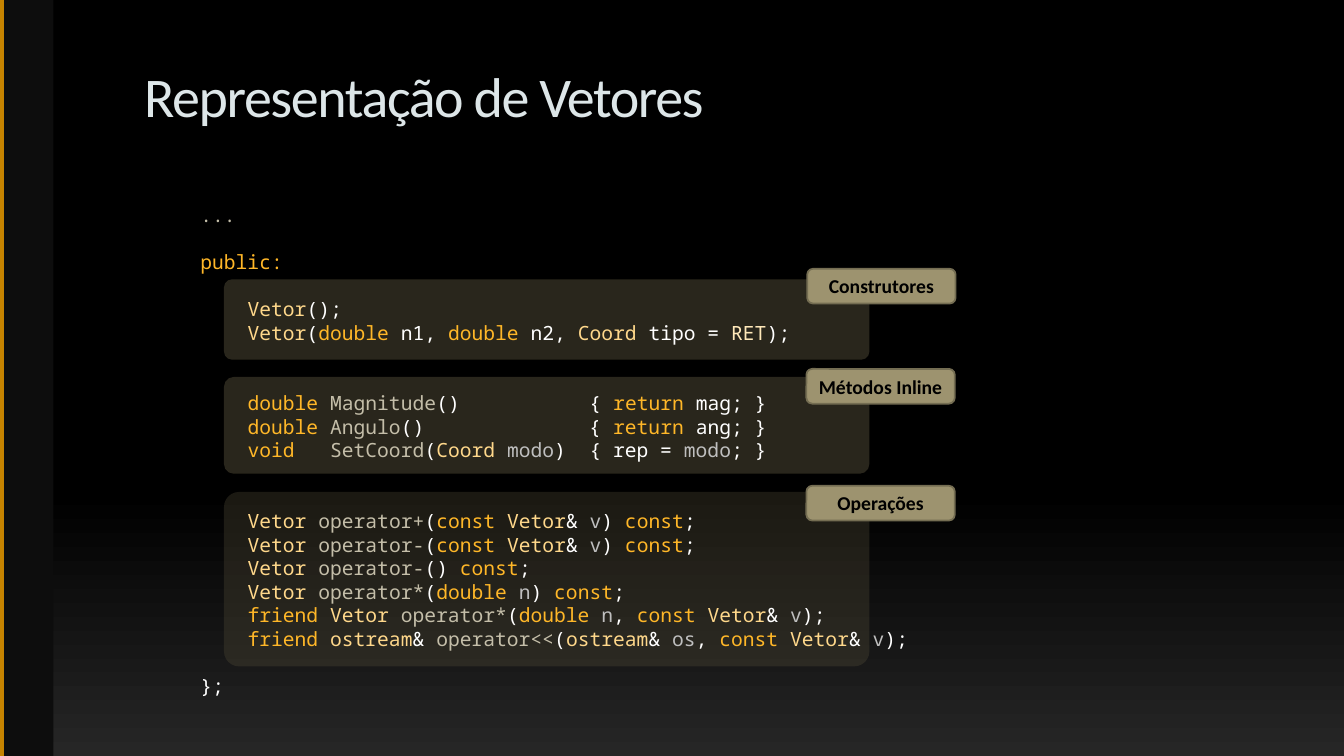
from pptx import Presentation
from pptx.dml.color import RGBColor
from pptx.enum.shapes import MSO_CONNECTOR as Connector, MSO_SHAPE as Shape
from pptx.enum.text import MSO_ANCHOR as Anchor, PP_ALIGN as Align
from pptx.oxml.ns import qn
from pptx.util import Pt
from lxml.etree import SubElement

BLACK = RGBColor(0x00, 0x00, 0x00)
CHARCOAL = RGBColor(0x26, 0x26, 0x26)
SIDEBAR = RGBColor(0x0D, 0x0D, 0x0D)
AMBER = RGBColor(0xC5, 0x83, 0x00)
TITLE = RGBColor(0xDD, 0xE6, 0xE8)
PANEL = RGBColor(0x78, 0x6F, 0x51)
PANEL_DARK = RGBColor(0x50, 0x4A, 0x36)
TAG = RGBColor(0x9D, 0x93, 0x6F)
TAG_LINE = RGBColor(0x74, 0x6D, 0x52)
WHITE = RGBColor(0xFF, 0xFF, 0xFF)
KEYWORD = RGBColor(0xFF, 0xB7, 0x28)
TYPE = RGBColor(0xFF, 0xD8, 0x8B)
CONSTANT = RGBColor(0xFF, 0xE8, 0xB9)
FUNCTION = RGBColor(0xC4, 0xBE, 0xA9)
PARAMETER = RGBColor(0xBF, 0xBF, 0xBF)

LINE_PITCH = 16.8

# Words of the code by colour; every other token is white
WORDS = (
    (KEYWORD, "public: double void return const friend"),
    (TYPE, "Vetor Coord ostream"),
    (CONSTANT, "RET"),
    (FUNCTION, "... Magnitude Angulo SetCoord operator+ operator- operator* operator<<"),
    (PARAMETER, "modo v n os"),
)
TOKEN_COLOURS = {word: colour for colour, words in WORDS for word in words.split()}

# Blank lines above, then the code with its tokens parted by |
CODE = (
    (0, "..."),
    (1, "public:"),
    (1, "    |Vetor|();"),
    (0, "    |Vetor|(|double| n1, |double| n2, |Coord| tipo = |RET|);"),
    (2, "    |double |Magnitude|()           { |return |mag; }"),
    (0, "    |double |Angulo|()              { |return |ang; }"),
    (0, "    |void   |SetCoord|(|Coord |modo|)  { rep = |modo|; }"),
    (2, "    |Vetor |operator+|(|const |Vetor|& |v|) |const|;"),
    (0, "    |Vetor |operator-|(|const |Vetor|& |v|) |const|;"),
    (0, "    |Vetor |operator-|() |const|;"),
    (0, "    |Vetor |operator*|(|double |n|) |const|;"),
    (0, "    |friend |Vetor |operator*|(|double |n|, |const |Vetor|& |v|);"),
    (0, "    |friend |ostream|& |operator<<|(|ostream|& |os|, |const |Vetor|& |v|);"),
    (1, "};"),
)

# Panel top, height, corner and fill; tag left, top and label
SECTIONS = (
    (199.5, 57.4, 0.1, PANEL, 576.6, 192, "Construtores"),
    (269.3, 69.1, 0.1, PANEL, 576, 263.5, "Métodos Inline"),
    (351.4, 124.6, 0.086, PANEL_DARK, 576, 347, "Operações"),
)


def set_font(font, colour, **values):
    font.color.rgb = colour
    for name, value in values.items():
        setattr(font, name, value)


def add_block(slide, kind, left, top, width, height, fill):
    shape = slide.shapes.add_shape(kind, Pt(left), Pt(top), Pt(width), Pt(height))
    shape.shadow.inherit = False
    shape.fill.solid()
    shape.fill.fore_color.rgb = fill
    shape.line.fill.background()
    return shape


def add_panel(slide, top, height, corner, fill):
    panel = add_block(slide, Shape.ROUNDED_RECTANGLE, 160, top, 461, height, fill)
    panel.adjustments[0] = corner
    colour = panel.fill._xPr.find(qn("a:solidFill"))[0]
    SubElement(colour, qn("a:alpha"), val="35000")


def add_tag(slide, left, top, label):
    tag = add_block(slide, Shape.ROUNDED_RECTANGLE, left, top, 106, 24.8, TAG)
    tag.line.color.rgb = TAG_LINE
    tag.line.width = Pt(1.25)
    frame = tag.text_frame
    frame.margin_left = frame.margin_right = 0
    frame.vertical_anchor = Anchor.MIDDLE
    paragraph = frame.paragraphs[0]
    paragraph.alignment = Align.CENTER
    run = paragraph.add_run()
    run.text = label
    set_font(run.font, BLACK, name="Calibri", size=Pt(14), bold=True)


def add_code(slide):
    box = slide.shapes.add_textbox(Pt(136.1), Pt(141.5), Pt(735), Pt(363.6))
    frame = box.text_frame
    frame.word_wrap = True
    for index, (blank_lines, line) in enumerate(CODE):
        paragraph = frame.add_paragraph() if index else frame.paragraphs[0]
        paragraph.line_spacing = Pt(LINE_PITCH)
        paragraph.space_before = Pt(blank_lines * LINE_PITCH)
        for token in line.split("|"):
            run = paragraph.add_run()
            run.text = token
            colour = TOKEN_COLOURS.get(token.strip(), WHITE)
            set_font(run.font, colour, name="Noto Sans Mono", size=Pt(14))


def add_backdrop(slide):
    fill = slide.background.fill
    fill.gradient()
    fill.gradient_angle = 270
    for stop, position, colour in zip(fill.gradient_stops, (0.65, 1), (BLACK, CHARCOAL)):
        stop.position = position
        stop.color.rgb = colour
    add_block(slide, Shape.RECTANGLE, 0, 0, 38.2, 540, SIDEBAR)
    edge = slide.shapes.add_connector(Connector.STRAIGHT, Pt(1.5), Pt(0), Pt(1.5), Pt(540))
    edge.line.color.rgb = AMBER
    edge.line.width = Pt(3)
    SubElement(edge._element.spPr, qn("a:effectLst"))


def format_title(slide):
    title = slide.shapes.title
    place = {"left": 95.8, "top": 40.3, "width": 684.7, "height": 72}
    for name, value in place.items():
        setattr(title, name, Pt(value))
    frame = title.text_frame
    frame.vertical_anchor = Anchor.TOP
    paragraph = frame.paragraphs[0]
    paragraph.alignment = Align.LEFT
    run = paragraph.add_run()
    run.text = "Representação de Vetores"
    set_font(run.font, TITLE, name="Calibri", size=Pt(40))
    run.font._element.set("spc", "-100")


def main():
    presentation = Presentation()
    presentation.slide_width, presentation.slide_height = Pt(960), Pt(540)
    slide = presentation.slides.add_slide(presentation.slide_layouts[5])
    add_backdrop(slide)
    format_title(slide)
    # Panels lie under all tags, and the code lies on top
    for section in SECTIONS:
        add_panel(slide, *section[:4])
    for section in SECTIONS:
        add_tag(slide, *section[4:])
    add_code(slide)
    presentation.save("out.pptx")


if __name__ == "__main__":
    main()
